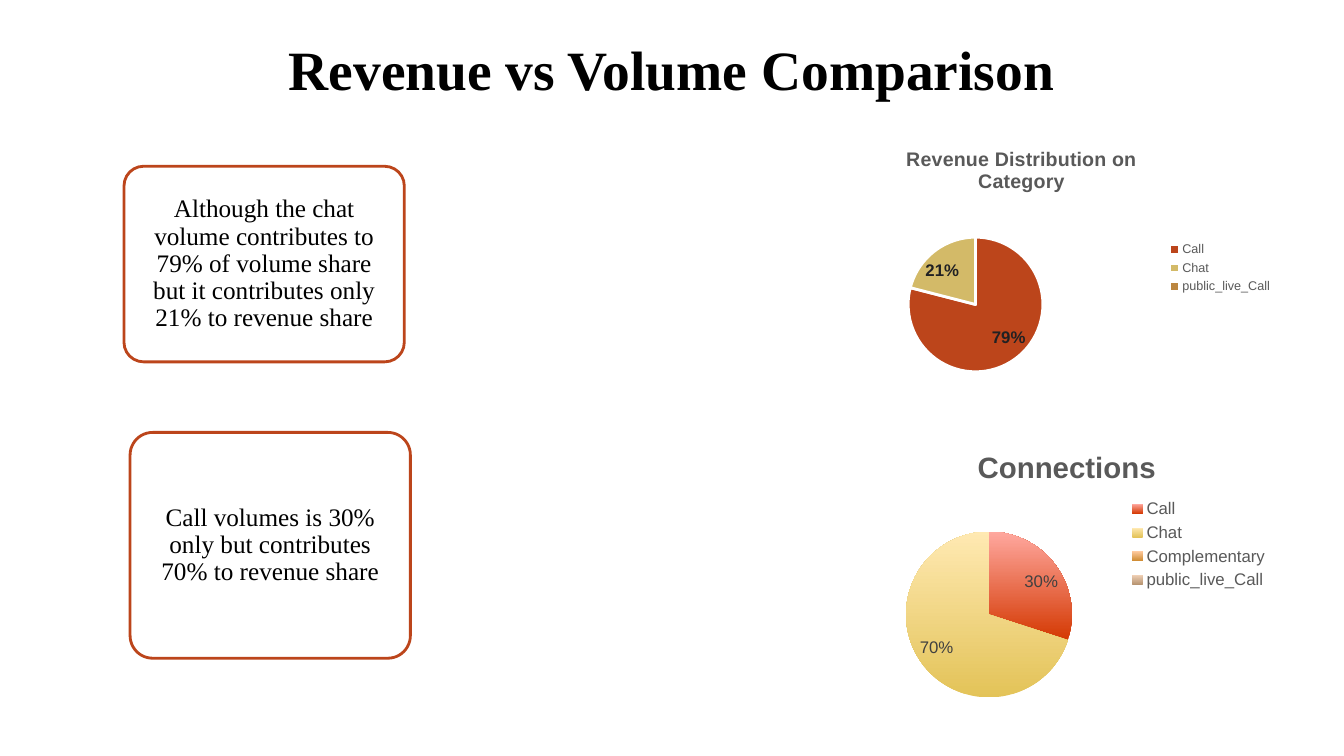
"""Build the slide that compares revenue share with volume share."""
import lxml.etree
import pptx
import pptx.chart.data
import pptx.dml.color
import pptx.enum.chart
import pptx.enum.shapes
import pptx.enum.text
import pptx.oxml
import pptx.oxml.ns
import pptx.util

Inches = pptx.util.Inches
Pt = pptx.util.Pt
qn = pptx.oxml.ns.qn

THEME = {
    "serif": "Times New Roman", "sans": "Arial",
    "ink": "000000", "paper": "FFFFFF", "edge": "BC451B", "gray": "595959",
    "head": 39.6, "body": 18, "label": 12,
}
HEAD = ("Revenue vs Volume Comparison", (1, 0.24, 11.32, 1.48))
CARDS = [
    ("Although the chat volume contributes to 79% of volume share but "
     "it contributes only 21% to revenue share", (1.23, 1.65, 2.78, 1.94)),
    ("Call volumes is 30% only but contributes 70% to revenue share",
     (1.29, 4.29, 2.78, 2.24)),
]
PIES = [
    {"box": (7.77, 1.32, 4.95, 2.68),
     "title": ["Revenue Distribution on", "Category"], "size": 14,
     "data": [("Call", 79, ["BC451B"]), ("Chat", 21, ["D3BA68"]),
              ("public_live_Call", 0, ["BB8640"])],
     "plot": (0.25, 0.38, 0.27, 0.51), "spot": (0.24, 0.04), "key": None,
     "key_size": 9, "tint": "212123", "bold": True, "rim": 2},
    {"box": (8.01, 4.29, 5.14, 2.78),
     "title": ["Connections"], "size": 21,
     "data": [("Call", 30, ["D43903", "FFA89F"]),
              ("Chat", 70, ["E3C358", "FFE9B2"]),
              ("Complementary", 0, ["CD892E", "FFCBA1"]),
              ("public_live_Call", 0, ["B5926F", "F0D0B5"])],
     "plot": (0.19, 0.35, 0.32, 0.6), "spot": None,
     "key": (0.61, 0.22, 0.29, 0.36),
     "key_size": 12, "tint": "404040", "bold": False, "rim": 0},
]
SHADE = (
    '<a:effectLst %s><a:outerShdw blurRad="38100" dist="38100" dir="2700000" '
    'algn="tl"><a:srgbClr val="000000"><a:alpha val="43000"/></a:srgbClr>'
    '</a:outerShdw></a:effectLst>' % pptx.oxml.ns.nsdecls("a"))


def rgb(code):
    """Turn a hex code into a colour."""
    return pptx.dml.color.RGBColor.from_string(code)


def style(font, face, size, code, bold=False):
    """Set face, size, colour and weight of a font."""
    font.name, font.size, font.bold = face, Pt(size), bold
    font.color.rgb = rgb(code)


def write(frame, text, size, bold=False):
    """Write one centred serif run and return it."""
    frame.word_wrap = True
    frame.vertical_anchor = pptx.enum.text.MSO_ANCHOR.MIDDLE
    line = frame.paragraphs[0]
    line.alignment = pptx.enum.text.PP_ALIGN.CENTER
    line.line_spacing = 0.9
    run = line.add_run()
    run.text = text
    style(run.font, THEME["serif"], size, THEME["ink"], bold)
    return run


def place(node, index, spot, inner=False):
    """Give a chart part a fixed place, in shares of the chart."""
    for old in node.findall(qn("c:layout")):
        node.remove(old)
    layout = pptx.oxml.parse_xml("<c:layout %s/>" % pptx.oxml.ns.nsdecls("c"))
    manual = lxml.etree.SubElement(layout, qn("c:manualLayout"))
    parts = [("layoutTarget", "inner")] if inner else []
    parts += [("xMode", "edge"), ("yMode", "edge")]
    parts += zip("xywh", spot)
    for name, value in parts:
        lxml.etree.SubElement(manual, qn("c:" + name)).set("val", str(value))
    node.insert(index, layout)


def add_head(slide):
    """Add the heading with its soft shadow."""
    text, box = HEAD
    frame = slide.shapes.add_textbox(*map(Inches, box)).text_frame
    frame.margin_bottom = Inches(0.57)
    run = write(frame, text, THEME["head"], True)
    fill = run.font._element.find(qn("a:solidFill"))
    fill.addnext(pptx.oxml.parse_xml(SHADE))


def add_card(slide, text, box):
    """Add a rounded card with its message."""
    card = slide.shapes.add_shape(
        pptx.enum.shapes.MSO_SHAPE.ROUNDED_RECTANGLE, *map(Inches, box))
    card.adjustments[0] = 0.1
    card.shadow.inherit = False
    card.fill.solid()
    card.fill.fore_color.rgb = rgb(THEME["paper"])
    card.line.color.rgb = rgb(THEME["edge"])
    card.line.width = Pt(2)
    frame = card.text_frame
    frame.margin_left = frame.margin_right = Inches(0.12)
    write(frame, text, THEME["body"])


def paint(point, codes, rim):
    """Fill a slice with one colour or a blend, and draw its rim."""
    fill, line = point.format.fill, point.format.line
    if len(codes) == 1:
        fill.solid()
        fill.fore_color.rgb = rgb(codes[0])
    else:
        fill.gradient()
        fill.gradient_angle = 90
        for stop, code in zip(fill.gradient_stops, codes):
            stop.color.rgb = rgb(code)
    if rim:
        line.color.rgb = rgb(THEME["paper"])
        line.width = Pt(rim)
    else:
        line.fill.background()


def add_pie(slide, pie):
    """Add a pie chart with title, key and labels."""
    names, values, tones = zip(*pie["data"])
    data = pptx.chart.data.CategoryChartData()
    data.categories = names
    data.add_series("Series 1", values)
    chart = slide.shapes.add_chart(
        pptx.enum.chart.XL_CHART_TYPE.PIE, *map(Inches, pie["box"]), data).chart
    style(chart.font, THEME["sans"], 10, THEME["ink"])

    chart.has_title = True
    title = chart.chart_title
    frame = title.text_frame
    for index, text in enumerate(pie["title"]):
        line = frame.add_paragraph() if index else frame.paragraphs[0]
        line.alignment = pptx.enum.text.PP_ALIGN.CENTER
        run = line.add_run()
        run.text = text
        style(run.font, THEME["sans"], pie["size"], THEME["gray"], True)

    chart.has_legend = True
    key = chart.legend
    key.position = pptx.enum.chart.XL_LEGEND_POSITION.RIGHT
    key.include_in_layout = False
    style(key.font, THEME["sans"], pie["key_size"], THEME["gray"])

    plot = chart.plots[0]
    plot.vary_by_categories = True
    for index, codes in enumerate(tones):
        paint(plot.series[0].points[index], codes, pie["rim"])
    plot.has_data_labels = True
    labels = plot.data_labels
    labels.show_percentage, labels.show_value = True, False
    labels.number_format, labels.number_format_is_linked = "0%", False
    labels.position = pptx.enum.chart.XL_LABEL_POSITION.BEST_FIT
    style(labels.font, THEME["sans"], THEME["label"], pie["tint"], pie["bold"])

    place(plot._element.getparent(), 0, pie["plot"], True)
    if pie["spot"]:
        place(title._element, 1, pie["spot"])
    if pie["key"]:
        place(key._element, 1, pie["key"])


def main():
    """Build and save the slide."""
    deck = pptx.Presentation()
    deck.slide_width, deck.slide_height = Inches(13.33), Inches(7.5)
    slide = deck.slides.add_slide(deck.slide_layouts[6])
    add_head(slide)
    for pie in PIES:
        add_pie(slide, pie)
    for text, box in CARDS:
        add_card(slide, text, box)
    deck.save("out.pptx")


if __name__ == "__main__":
    main()
